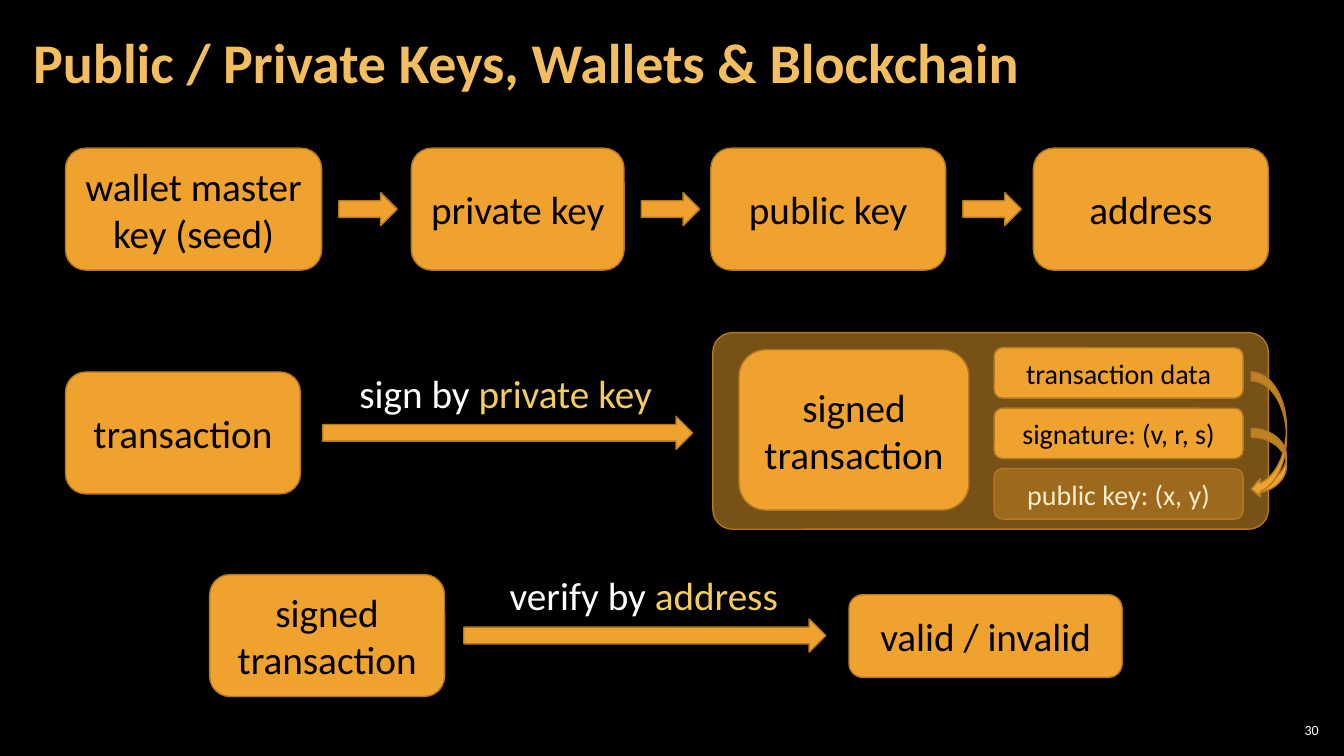
from pptx import Presentation
from pptx.dml.color import RGBColor
from pptx.enum.shapes import MSO_SHAPE as Preset
from pptx.enum.text import MSO_ANCHOR as Anchor, PP_ALIGN as Align
from pptx.oxml.ns import qn
from pptx.util import Emu, Pt
from lxml import etree

PX = 9144  # 100 px to the inch
FONT = "Calibri"
BLACK = RGBColor(0x00, 0x00, 0x00)
WHITE = RGBColor(0xFF, 0xFF, 0xFF)
ORANGE = RGBColor(0xF0, 0xA2, 0x2E)
BROWN = RGBColor(0xB2, 0x78, 0x22)
TITLE_GOLD = RGBColor(0xF3, 0xBE, 0x60)
KEY_GOLD = RGBColor(0xF3, 0xCD, 0x60)
CREAM = RGBColor(0xFB, 0xEE, 0xC9)

ROW_HEIGHT = 121
ARROW_HEIGHT = 33


def px(*lengths):
    return [Emu(length * PX) for length in lengths]


def style_run(run, size, color, bold=False):
    run.font.name = FONT
    run.font.size = Pt(size)
    run.font.color.rgb = color
    run.font.bold = bold


def add_solid(slide, preset, frame, opacity=100):
    """Add an orange preset shape; opacity is in percent."""
    solid = slide.shapes.add_shape(preset, *px(*frame))
    solid.shadow.inherit = False
    solid.fill.solid()
    solid.fill.fore_color.rgb = ORANGE
    solid.line.color.rgb = BROWN
    solid.line.width = Pt(1)
    if opacity < 100:
        color = solid.fill._xPr.find(".//" + qn("a:srgbClr"))
        etree.SubElement(color, qn("a:alpha"), val=str(opacity * 1000))
    return solid


def add_box(slide, label, frame, size=28, color=BLACK, opacity=100):
    box = add_solid(slide, Preset.ROUNDED_RECTANGLE, frame, opacity)
    text = box.text_frame
    text.word_wrap = True
    text.vertical_anchor = Anchor.MIDDLE
    text.text = label
    text.paragraphs[0].alignment = Align.CENTER
    style_run(text.paragraphs[0].runs[0], size, color)


def add_arrow(slide, left, top, width):
    add_solid(slide, Preset.RIGHT_ARROW, (left, top, width, ARROW_HEIGHT))


def add_text(slide, frame, parts, size, align=Align.LEFT, bold=False,
             anchor=Anchor.MIDDLE, wrap=True, insets=(10, 5)):
    """Add one line of text made of (words, color) parts."""
    text = slide.shapes.add_textbox(*px(*frame)).text_frame
    text.word_wrap = wrap
    text.vertical_anchor = anchor
    side, edge = px(*insets)
    text.margin_left = text.margin_right = side
    text.margin_top = text.margin_bottom = edge
    line = text.paragraphs[0]
    line.alignment = align
    for words, color in parts:
        run = line.add_run()
        run.text = words
        style_run(run, size, color, bold)
    return line


def add_action(slide, frame, verb, key):
    """Add the caption above a long arrow, with its key word highlighted."""
    add_text(slide, frame, [(verb, WHITE), (key, KEY_GOLD)], 28,
             align=Align.CENTER, anchor=Anchor.TOP, wrap=False)


def add_key_chain(slide):
    top = 147
    steps = [("wallet master key (seed)", 65, 254), ("private key", 408, 211),
             ("public key", 705, 233), ("address", 1025, 233)]
    for label, left, width in steps:
        add_box(slide, label, (left, top, width, ROW_HEIGHT))
    for _, left, width in steps[:-1]:
        add_arrow(slide, left + width + 17, top + 44, 58)


def add_signing(slide):
    add_box(slide, "transaction", (65, 369, 233, ROW_HEIGHT))
    add_arrow(slide, 320, 413, 367)
    add_action(slide, (345, 361, 313, 57), "sign by ", "private key")

    panel = add_solid(slide, Preset.ROUNDED_RECTANGLE, (707, 330, 551, 195), 50)
    panel.adjustments[0] = 0.1
    add_box(slide, "signed transaction", (733, 347, 228, 159))
    fields = [("transaction data", BLACK, 100), ("signature: (v, r, s)", BLACK, 100),
              ("public key: (x, y)", CREAM, 30)]
    for row, (label, color, opacity) in enumerate(fields):
        add_box(slide, label, (986, 345 + 60 * row, 247, 50), 20, color, opacity)
    recovery_bottom = 494
    for top in (425, 369):
        add_solid(slide, Preset.CURVED_LEFT_ARROW,
                  (1241, top, 35, recovery_bottom - top))


def add_verification(slide):
    add_box(slide, "signed transaction", (208, 570, 233, ROW_HEIGHT))
    add_arrow(slide, 460, 614, 359)
    add_action(slide, (494, 562, 289, 57), "verify by ", "address")
    add_box(slide, "valid / invalid", (842, 590, 271, 82))


def main():
    deck = Presentation()
    deck.slide_width, deck.slide_height = px(1333, 750)
    slide = deck.slides.add_slide(deck.slide_layouts[6])
    slide.background.fill.solid()
    slide.background.fill.fore_color.rgb = BLACK

    title = add_text(slide, (21, 4, 1047, 121),
                     [("Public / Private Keys, Wallets & Blockchain", TITLE_GOLD)],
                     40, bold=True, insets=(12, 4))
    title.line_spacing = 0.9
    add_key_chain(slide)
    add_signing(slide)
    add_verification(slide)
    add_text(slide, (1265, 714, 47, 21), [("30", WHITE)], 10,
             align=Align.RIGHT, insets=(4, 4))
    deck.save("out.pptx")


if __name__ == "__main__":
    main()
